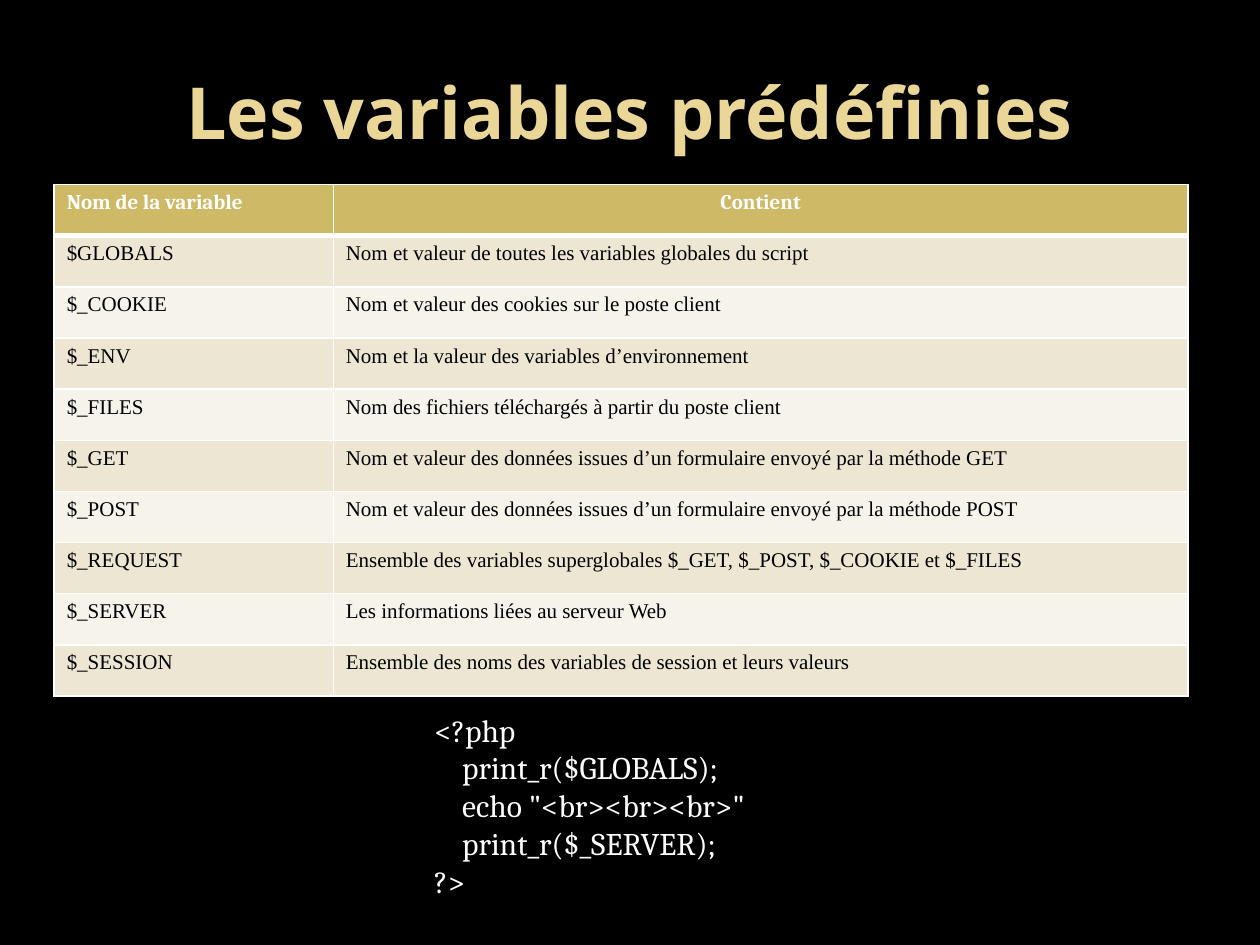
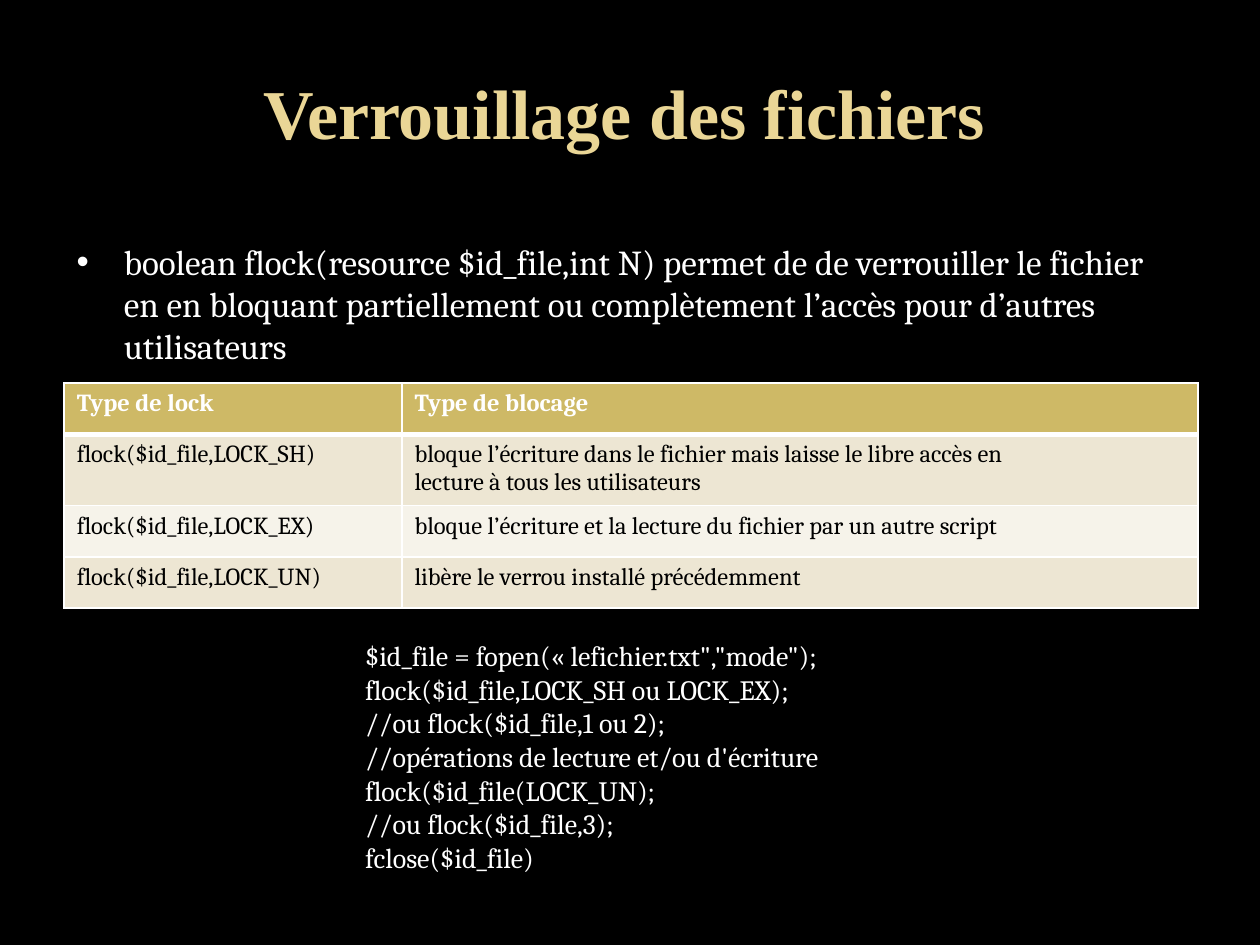
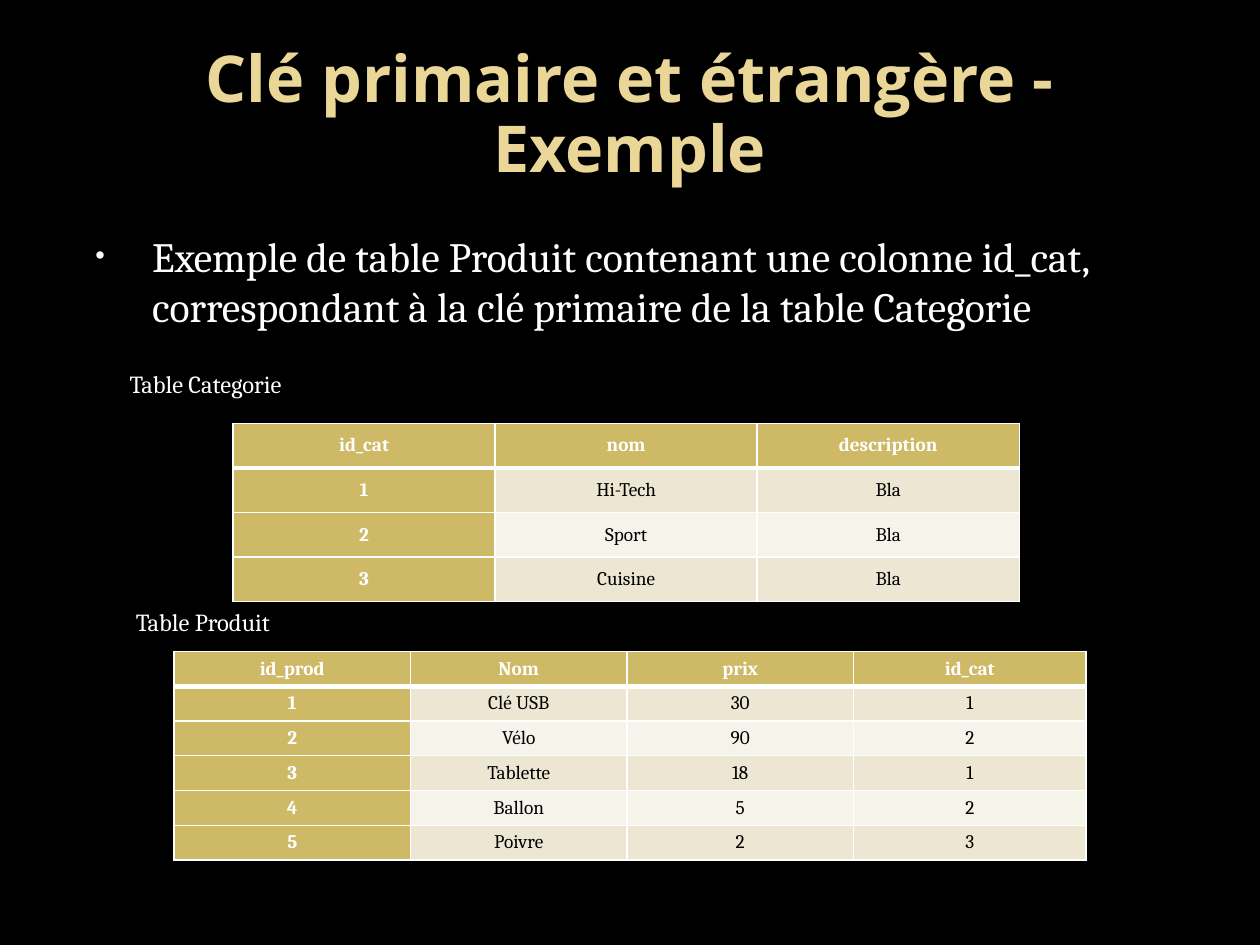
"""Build three PHP and database course slides with tables and code samples."""
import dataclasses
import typing

import lxml.etree
import pptx
import pptx.dml.color
import pptx.enum.text
import pptx.oxml.ns
import pptx.slide
import pptx.table
import pptx.text.text
import pptx.util

WIDTH = pptx.util.Inches(10)
HEIGHT = pptx.util.Inches(7.5)
COLUMNS, ROWS = 100, 75
LEFT = pptx.enum.text.PP_ALIGN.LEFT
CENTER = pptx.enum.text.PP_ALIGN.CENTER
TOP = pptx.enum.text.MSO_ANCHOR.TOP
MIDDLE = pptx.enum.text.MSO_ANCHOR.MIDDLE


@dataclasses.dataclass(frozen=True)
class Theme:
    """Colours, fonts and type sizes of the deck."""
    background: str = "000000"
    title: str = "EAD696"
    light: str = "FFFFFF"
    dark: str = "000000"
    header: str = "CEB966"
    bands: tuple[str, str] = ("EDE6D3", "F6F3EA")
    bullet: str = "F9F9F9"
    sans: str = "Open Sans"
    serif: str = "Cambria"
    roman: str = "Times New Roman"
    title_size: float = 41
    title_roman_size: float = 40
    title_long_size: float = 36.9
    lead_size: float = 23.8
    statement_size: float = 20
    code_size: float = 18
    code_small_size: float = 16
    label_size: float = 14
    lock_size: float = 14
    variable_size: float = 12
    record_size: float = 11
    border: float = 1
    header_border: float = 3


THEME = Theme()


class Area(typing.NamedTuple):
    """Place on the slide grid, in columns and rows."""
    left: float
    top: float
    width: float
    height: float


@dataclasses.dataclass(frozen=True)
class Style:
    """Look of a piece of text."""
    size: float
    font: str = THEME.serif
    color: str = THEME.light
    bold: bool = False


@dataclasses.dataclass(frozen=True)
class Bullet:
    """Bullet indents in columns, with its size in percent and its colour."""
    margin: float
    hanging: float
    percent: int = 100
    color: str = THEME.light


@dataclasses.dataclass(frozen=True)
class Passage:
    """Block of paragraphs; a leading tab indents a line of code."""
    area: Area
    text: str
    style: Style
    alignment: typing.Any = LEFT
    anchor: typing.Any = TOP
    line_spacing: float = 1.0
    bullet: Bullet | None = None


@dataclasses.dataclass(frozen=True)
class Grid:
    """Table whose first line is its header."""
    left: float
    top: float
    widths: tuple[float, ...]
    row_height: float
    size: float
    lines: tuple[tuple[str, ...], ...]
    font: str = THEME.serif
    header_alignments: tuple[typing.Any, ...] = (LEFT, LEFT)
    records: bool = False


TITLE_AREA = Area(5, 3, 90, 12.5)
CODE_INDENT = 2.2


def title(text: str, size: float, font: str = THEME.sans, area: Area = TITLE_AREA) -> Passage:
    """Describe a slide title."""
    return Passage(area, text, Style(size, font, THEME.title, True), CENTER, MIDDLE, 0.9)


def label(left: float, top: float, text: str) -> Passage:
    """Describe the caption of a table."""
    return Passage(Area(left, top, 25.2, 3.4), text, Style(THEME.label_size))


SLIDES: tuple[tuple[Passage | Grid, ...], ...] = (
    (
        title("Les variables prédéfinies", THEME.title_size),
        Grid(4.3, 14.65, (22.15, 67.85), 4.06, THEME.variable_size, (
            ("Nom de la variable", "Contient"),
            ("$GLOBALS", "Nom et valeur de toutes les variables globales du script"),
            ("$_COOKIE", "Nom et valeur des cookies sur le poste client"),
            ("$_ENV", "Nom et la valeur des variables d’environnement"),
            ("$_FILES", "Nom des fichiers téléchargés à partir du poste client"),
            ("$_GET", "Nom et valeur des données issues d’un formulaire envoyé par la méthode GET"),
            ("$_POST", "Nom et valeur des données issues d’un formulaire envoyé par la méthode POST"),
            ("$_REQUEST", "Ensemble des variables superglobales $_GET, $_POST, $_COOKIE et $_FILES"),
            ("$_SERVER", "Les informations liées au serveur Web"),
            ("$_SESSION", "Ensemble des noms des variables de session et leurs valeurs"),
        ), THEME.roman, (LEFT, CENTER)),
        Passage(Area(33.5, 55.9, 38.6, 16.2),
                '<?php\n\tprint_r($GLOBALS);\n\techo "<br><br><br>"\n\tprint_r($_SERVER);\n?>',
                Style(THEME.code_size)),
    ),
    (
        title("Verrouillage des fichiers", THEME.title_roman_size, THEME.roman,
              Area(3.5, 3, 92.1, 12.5)),
        Grid(5.1, 30.4, (26.8, 63.2), 4.06, THEME.lock_size, (
            ("Type de lock", "Type de blocage"),
            ("flock($id_file,LOCK_SH)",
             "bloque l’écriture dans le fichier mais laisse le libre accès en\n"
             "lecture à tous les utilisateurs"),
            ("flock($id_file,LOCK_EX)",
             "bloque l’écriture et la lecture du fichier par un autre script"),
            ("flock($id_file,LOCK_UN)", "libère le verrou installé précédemment"),
        )),
        Passage(Area(5.1, 18.6, 90, 7.9),
                "boolean flock(resource $id_file,int N) permet de de verrouiller le fichier en en "
                "bloquant partiellement ou complètement l’accès pour d’autres utilisateurs",
                Style(THEME.statement_size), bullet=Bullet(3.75, 3.75)),
        Passage(Area(28, 50.2, 41.1, 19.9),
                '$id_file = fopen(« lefichier.txt","mode");\n'
                "flock($id_file,LOCK_SH ou LOCK_EX);\n"
                "//ou flock($id_file,1 ou 2);\n"
                "//opérations de lecture et/ou d'écriture\n"
                "flock($id_file(LOCK_UN);\n"
                "//ou flock($id_file,3);\n"
                "fclose($id_file)",
                Style(THEME.code_small_size)),
    ),
    (
        title("Clé primaire et étrangère - Exemple", THEME.title_long_size),
        Passage(Area(5.1, 17.8, 90, 10.8),
                "Exemple de table Produit contenant une colonne id_cat, "
                "correspondant à la clé primaire de la table Categorie",
                Style(THEME.lead_size), bullet=Bullet(6, 4.5, 65, THEME.bullet)),
        Grid(18.5, 33.6, (20.8,) * 3, 3.54, THEME.record_size, (
            ("id_cat", "nom", "description"),
            ("1", "Hi-Tech", "Bla"),
            ("2", "Sport", "Bla"),
            ("3", "Cuisine", "Bla"),
        ), header_alignments=(CENTER,) * 3, records=True),
        Grid(13.8, 51.7, (18.8, 17.15, 18, 18.45), 2.76, THEME.record_size, (
            ("id_prod", "Nom", "prix", "id_cat"),
            ("1", "Clé USB", "30", "1"),
            ("2", "Vélo", "90", "2"),
            ("3", "Tablette", "18", "1"),
            ("4", "Ballon", "5", "2"),
            ("5", "Poivre", "2", "3"),
        ), header_alignments=(CENTER,) * 4, records=True),
        label(9.3, 28.8, "Table Categorie"),
        label(9.8, 47.7, "Table Produit"),
    ),
)


def across(columns: float) -> pptx.util.Emu:
    """Convert grid columns to a length."""
    return pptx.util.Emu(round(WIDTH * columns / COLUMNS))


def down(rows: float) -> pptx.util.Emu:
    """Convert grid rows to a length."""
    return pptx.util.Emu(round(HEIGHT * rows / ROWS))


def rgb(color: str) -> pptx.dml.color.RGBColor:
    """Convert a hexadecimal colour."""
    return pptx.dml.color.RGBColor.from_string(color)


def assign(target: typing.Any, values: dict[str, typing.Any]) -> None:
    """Set each attribute named in the format values."""
    for attribute, value in values.items():
        setattr(target, attribute, value)


def add_xml(parent: typing.Any, tag: str, **attributes: str) -> typing.Any:
    """Append a DrawingML element."""
    return lxml.etree.SubElement(parent, pptx.oxml.ns.qn(f"a:{tag}"), attributes)


def write(frame: pptx.text.text.TextFrame, text: str, style: Style,
          layout: dict[str, typing.Any]) -> None:
    """Write each line of the text as a styled paragraph."""
    for number, line in enumerate(text.split("\n")):
        paragraph = frame.add_paragraph() if number else frame.paragraphs[0]
        assign(paragraph, layout)
        run = paragraph.add_run()
        run.text = line.lstrip("\t")
        if line.startswith("\t"):
            paragraph._p.get_or_add_pPr().set("marL", str(across(CODE_INDENT)))
        assign(run.font, {"name": style.font, "size": pptx.util.Pt(style.size),
                          "bold": style.bold})
        run.font.color.rgb = rgb(style.color)


def add_bullet(paragraph: typing.Any, bullet: Bullet) -> None:
    """Give a paragraph a hanging bullet."""
    properties = paragraph._p.get_or_add_pPr()
    properties.set("marL", str(across(bullet.margin)))
    properties.set("indent", str(-across(bullet.hanging)))
    add_xml(add_xml(properties, "buClr"), "srgbClr", val=bullet.color)
    add_xml(properties, "buSzPct", val=str(bullet.percent * 1000))
    add_xml(properties, "buFont", typeface="Arial")
    add_xml(properties, "buChar", char="•")


def draw_passage(slide: pptx.slide.Slide, passage: Passage) -> None:
    """Draw a block of text."""
    area = passage.area
    frame = slide.shapes.add_textbox(across(area.left), down(area.top),
                                     across(area.width), down(area.height)).text_frame
    assign(frame, {"word_wrap": True, "vertical_anchor": passage.anchor})
    layout = {"alignment": passage.alignment, "line_spacing": passage.line_spacing}
    if passage.bullet:
        layout["space_before"] = pptx.util.Pt(round(passage.style.size * 0.2, 1))
    write(frame, passage.text, passage.style, layout)
    if passage.bullet:
        add_bullet(frame.paragraphs[0], passage.bullet)


def add_borders(cell: typing.Any, row: int) -> None:
    """Rule a cell on all sides, thicker below the header."""
    properties = cell._tc.get_or_add_tcPr()
    thick = {0: "lnB", 1: "lnT"}.get(row)
    for position, side in enumerate(("lnL", "lnR", "lnT", "lnB")):
        points = THEME.header_border if side == thick else THEME.border
        line = lxml.etree.Element(pptx.oxml.ns.qn(f"a:{side}"), w=str(pptx.util.Pt(points)))
        add_xml(add_xml(line, "solidFill"), "srgbClr", val=THEME.light)
        properties.insert(position, line)


def draw_cell(cell: typing.Any, grid: Grid, row: int, column: int) -> None:
    """Fill, rule and write one table cell."""
    accented = row == 0 or (grid.records and column == 0)
    cell.fill.solid()
    cell.fill.fore_color.rgb = rgb(THEME.header if accented else THEME.bands[(row - 1) % 2])
    if grid.records:
        assign(cell, {"vertical_anchor": MIDDLE, "margin_left": across(0.7),
                      "margin_right": across(0.7), "margin_top": 0, "margin_bottom": 0})
    style = Style(grid.size, THEME.serif if row == 0 else grid.font,
                  THEME.light if accented else THEME.dark, accented)
    centred = grid.header_alignments[column] if row == 0 or grid.records else LEFT
    write(cell.text_frame, grid.lines[row][column], style, {"alignment": centred})
    add_borders(cell, row)


def draw_grid(slide: pptx.slide.Slide, grid: Grid) -> None:
    """Draw a table with a header and banded rows."""
    table: pptx.table.Table = slide.shapes.add_table(
        len(grid.lines), len(grid.widths), across(grid.left), down(grid.top),
        across(sum(grid.widths)), down(grid.row_height * len(grid.lines))).table
    assign(table, {"first_row": True, "first_col": grid.records, "horz_banding": False})
    for column, width in zip(table.columns, grid.widths):
        column.width = across(width)
    for number, row in enumerate(table.rows):
        row.height = down(grid.row_height)
        for column, cell in enumerate(row.cells):
            draw_cell(cell, grid, number, column)


def main() -> None:
    """Build and save the deck."""
    deck = pptx.Presentation()
    assign(deck, {"slide_width": WIDTH, "slide_height": HEIGHT})
    backdrop = deck.slide_master.background.fill
    backdrop.solid()
    backdrop.fore_color.rgb = rgb(THEME.background)
    for parts in SLIDES:
        slide = deck.slides.add_slide(deck.slide_layouts[6])
        for part in parts:
            if isinstance(part, Grid):
                draw_grid(slide, part)
            else:
                draw_passage(slide, part)
    deck.save("out.pptx")


if __name__ == "__main__":
    main()
